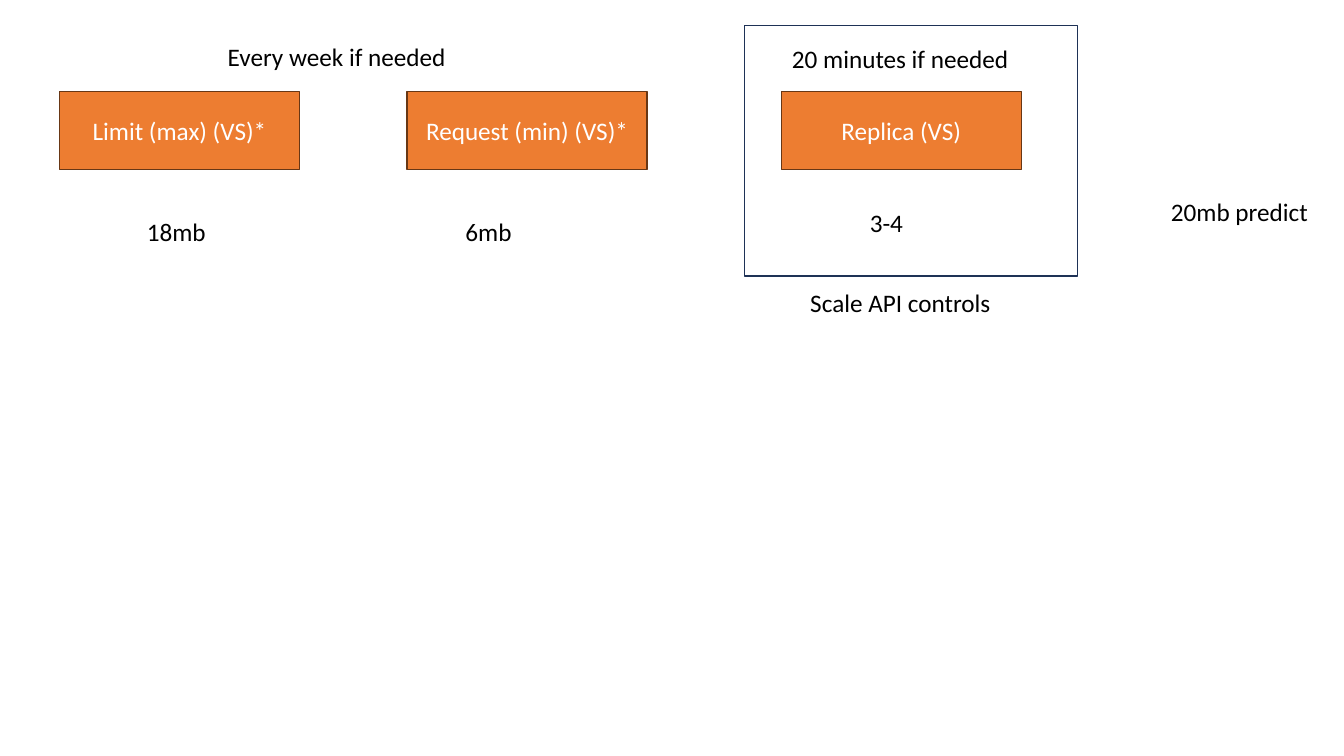
from pptx import Presentation
from pptx.dml.color import RGBColor
from pptx.enum.shapes import MSO_SHAPE
from pptx.enum.text import MSO_ANCHOR as Anchor, MSO_AUTO_SIZE as AutoSize, PP_ALIGN as Align
from pptx.util import Cm, Pt

ORANGE, BROWN, NAVY = "ED7D31", "683715", "1E3256"
WHITE, BLACK = "FFFFFF", "000000"
SETTING_TOP, SETTING_WIDTH, SETTING_HEIGHT = 2.31, 6.05, 1.96
LABEL_HEIGHT = 1.02

SETTINGS = [
    ("Limit (max) (VS)*", 1.5),
    ("Request (min) (VS)*", 10.26),
    ("Replica (VS)", 19.69),
]
LABELS = [
    ("20mb predict", 29.26, 4.83, 4.01),
    ("6mb", 11.48, 5.33, 1.68),
    ("3-4", 21.67, 5.11, 1.37),
    ("18mb", 3.45, 5.33, 2.01),
    ("20 minutes if needed", 19.71, 0.97, 6.05),
    ("Every week if needed", 5.49, 0.91, 6.07),
    ("Scale API controls", 20.17, 7.11, 5.11),
]


def color(value):
    return RGBColor.from_string(value)


def write_text(shape, text, font_color=BLACK, size=18, align=Align.LEFT, anchor=Anchor.TOP):
    shape.text_frame.vertical_anchor = anchor
    paragraph = shape.text_frame.paragraphs[0]
    paragraph.alignment = align
    run = paragraph.add_run()
    run.text = text
    run.font.name = "Calibri"
    run.font.size = Pt(size)
    run.font.color.rgb = color(font_color)


def add_rectangle(slide, left, top, width, height, line, fill=None):
    shape = slide.shapes.add_shape(
        MSO_SHAPE.RECTANGLE, Cm(left), Cm(top), Cm(width), Cm(height))
    shape.shadow.inherit = False
    shape.line.color.rgb = color(line)
    shape.line.width = Pt(1)
    if fill:
        shape.fill.solid()
        shape.fill.fore_color.rgb = color(fill)
    else:
        shape.fill.background()
    return shape


def add_setting(slide, text, left):
    shape = add_rectangle(
        slide, left, SETTING_TOP, SETTING_WIDTH, SETTING_HEIGHT, BROWN, ORANGE)
    shape.text_frame.word_wrap = True
    write_text(shape, text, font_color=WHITE, align=Align.CENTER, anchor=Anchor.MIDDLE)


def add_label(slide, text, left, top, width):
    shape = slide.shapes.add_textbox(Cm(left), Cm(top), Cm(width), Cm(LABEL_HEIGHT))
    shape.text_frame.word_wrap = False
    shape.text_frame.auto_size = AutoSize.SHAPE_TO_FIT_TEXT
    write_text(shape, text)


def main():
    presentation = Presentation()
    presentation.slide_width, presentation.slide_height = Cm(33.87), Cm(19.05)
    slide = presentation.slides.add_slide(presentation.slide_layouts[6])
    for setting in SETTINGS:
        add_setting(slide, *setting)
    for label in LABELS:
        add_label(slide, *label)
    add_rectangle(slide, 18.77, 0.64, 8.38, 6.32, NAVY)
    presentation.save("out.pptx")


main()
